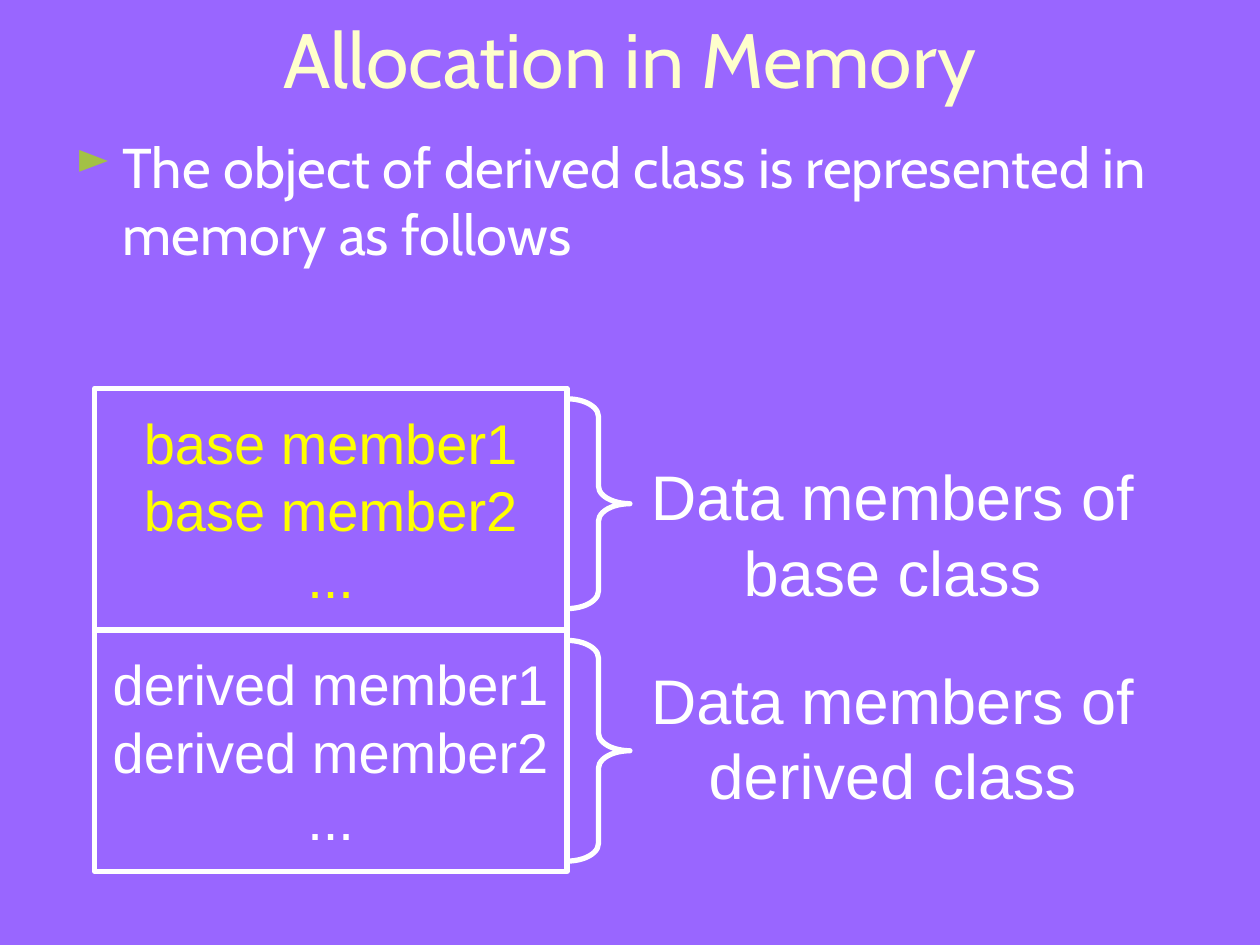
from dataclasses import dataclass

from lxml import etree
from pptx import Presentation
from pptx.dml.color import RGBColor
from pptx.enum.shapes import MSO_SHAPE
from pptx.enum.text import MSO_ANCHOR, PP_ALIGN
from pptx.oxml.ns import qn
from pptx.shapes.autoshape import Shape
from pptx.slide import Slide
from pptx.text.text import TextFrame
from pptx.util import Cm, Pt

RECTANGLE = MSO_SHAPE.RECTANGLE
RIGHT_BRACE = MSO_SHAPE.RIGHT_BRACE
MIDDLE = MSO_ANCHOR.MIDDLE
TOP = MSO_ANCHOR.TOP
CENTER = PP_ALIGN.CENTER
LEFT = PP_ALIGN.LEFT

PURPLE = "9966FF"
CREAM = "FFFFCC"
WHITE = "FFFFFF"
YELLOW = "FFFF00"
GREEN = "A3C145"

BLOCK_LEFT = 1.91
BLOCK_TOP = 7.83
BLOCK_WIDTH = 9.52
BLOCK_HEIGHT = 4.87
BRACE_WIDTH = 1.27
BRACE_CURVE = 0.28


@dataclass
class Area:
    left: float
    top: float
    width: float
    height: float

    def lengths(self) -> list[Cm]:
        return [Cm(value) for value in (self.left, self.top, self.width, self.height)]


@dataclass
class TextStyle:
    font: str
    size: int
    color: str
    align: PP_ALIGN = CENTER
    anchor: MSO_ANCHOR = MIDDLE
    wrap: bool = True


@dataclass
class MemoryBlock:
    members: list[str]
    color: str
    brace_top: float
    brace_height: float
    caption: str
    caption_top: float


BLOCKS = [
    MemoryBlock(["base member1", "base member2", "..."], YELLOW,
                8.04, 4.23, "Data members of base class", 9.1),
    MemoryBlock(["derived member1", "derived member2", "..."], WHITE,
                12.91, 4.45, "Data members of derived class", 13.2),
]


def rgb(color: str) -> RGBColor:
    return RGBColor.from_string(color)


def write(frame: TextFrame, lines: list[str], style: TextStyle) -> None:
    frame.word_wrap = style.wrap
    frame.vertical_anchor = style.anchor
    for index, line in enumerate(lines):
        para = frame.add_paragraph() if index else frame.paragraphs[0]
        para.text = line
        para.alignment = style.align
        para.font.name = style.font
        para.font.size = Pt(style.size)
        para.font.color.rgb = rgb(style.color)


def add_text(page: Slide, area: Area, text: str, style: TextStyle) -> Shape:
    box = page.shapes.add_textbox(*area.lengths())
    write(box.text_frame, [text], style)
    return box


def add_bullet(page: Slide, area: Area, text: str, style: TextStyle) -> None:
    box = page.shapes.add_textbox(*area.lengths())
    indent = Cm(0.95)
    properties = box.text_frame.paragraphs[0]._p.get_or_add_pPr()
    properties.set("marL", str(indent))
    properties.set("indent", str(-indent))
    bullet_color = etree.SubElement(properties, qn("a:buClr"))
    etree.SubElement(bullet_color, qn("a:srgbClr"), val=GREEN)
    etree.SubElement(properties, qn("a:buSzPct"), val="80000")
    etree.SubElement(properties, qn("a:buChar"), char="►")
    write(box.text_frame, [text], style)


def add_outline(page: Slide, kind: MSO_SHAPE, area: Area) -> Shape:
    shape = page.shapes.add_shape(kind, *area.lengths())
    shape.shadow.inherit = False
    shape.fill.background()
    shape.line.color.rgb = rgb(WHITE)
    shape.line.width = Pt(3)
    return shape


def add_block(page: Slide, block: MemoryBlock, top: float) -> None:
    caption_area = Area(11.85, block.caption_top, 12.28, 3.3)
    add_text(page, caption_area, block.caption, TextStyle("Arial", 36, WHITE))

    brace_area = Area(BLOCK_LEFT + BLOCK_WIDTH, block.brace_top, BRACE_WIDTH, block.brace_height)
    brace = add_outline(page, RIGHT_BRACE, brace_area)
    brace.adjustments[0] = BRACE_CURVE

    box = add_outline(page, RECTANGLE, Area(BLOCK_LEFT, top, BLOCK_WIDTH, BLOCK_HEIGHT))
    write(box.text_frame, block.members, TextStyle("Arial", 32, block.color, wrap=False))


def main() -> None:
    deck = Presentation()
    deck.slide_width = Cm(25.4)
    deck.slide_height = Cm(19.05)
    page = deck.slides.add_slide(deck.slide_layouts[6])
    page.background.fill.solid()
    page.background.fill.fore_color.rgb = rgb(PURPLE)

    add_text(page, Area(1.27, -0.43, 22.86, 3.18), "Allocation in Memory",
             TextStyle("Cabin", 44, CREAM))
    add_bullet(page, Area(1.27, 2.54, 22.86, 15.24),
               "The object of derived class is represented in memory as follows",
               TextStyle("Cabin", 32, WHITE, LEFT, TOP))
    for row, block in enumerate(BLOCKS):
        add_block(page, block, BLOCK_TOP + row * BLOCK_HEIGHT)

    deck.save("out.pptx")


if __name__ == "__main__":
    main()
